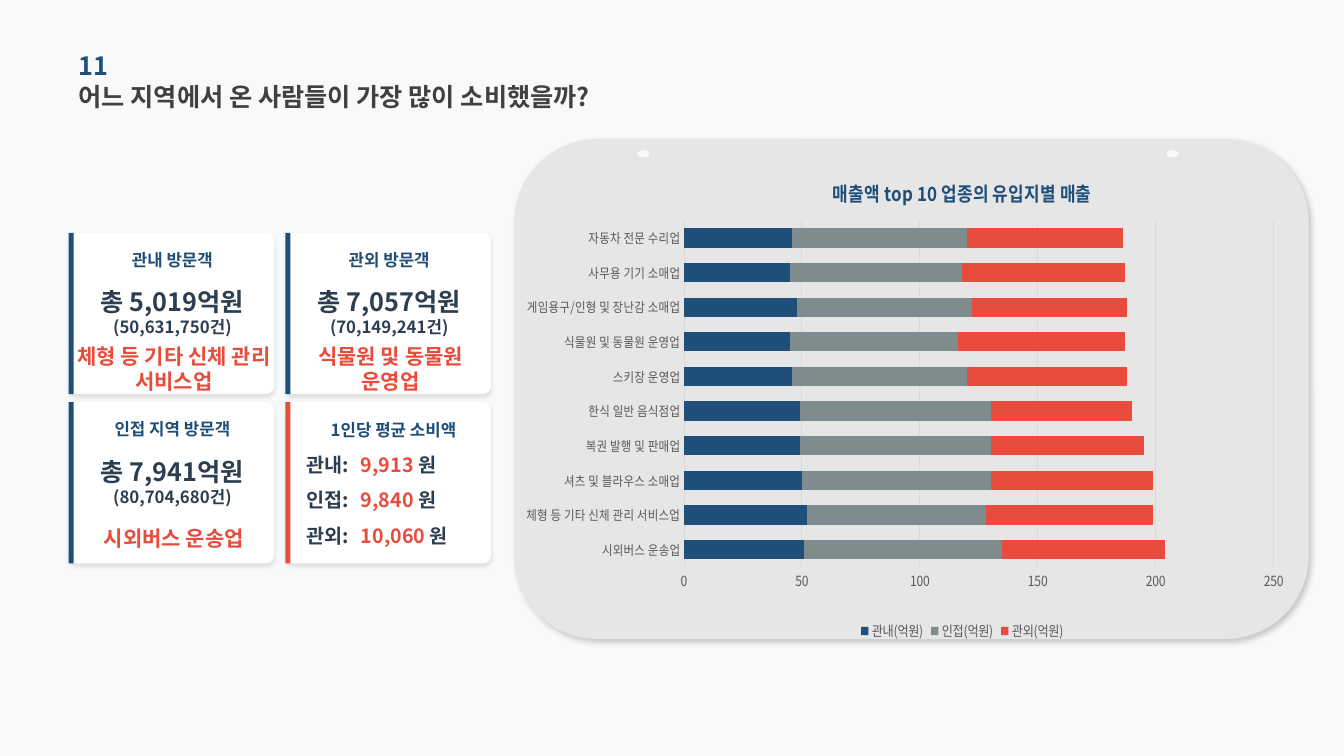
from lxml import etree
from pptx import Presentation
from pptx.chart.data import CategoryChartData
from pptx.dml.color import RGBColor
from pptx.enum import chart as charts, shapes, text
from pptx.oxml import ns
from pptx.util import Inches, Pt

FONT = "Noto Sans CJK KR"
COLORS = {
    "background": "F8F9FA", "panel": "E7E6E6", "white": "FFFFFF",
    "navy": "1F4E79", "red": "E74C3C", "gray": "7F8C8D", "ink": "2C3E50",
    "heading": "404040", "axis": "595959", "grid": "D9D9D9",
}
CARD_WIDTH, CARD_HEIGHT = 2.04, 1.6
COLUMNS, ROWS = (0.68, 2.83), (2.31, 3.99)
VISITORS = [
    (0, 0, "관내 방문객", "총 5,019억원", "(50,631,750건)", "체형 등 기타 신체 관리 서비스업"),
    (1, 0, "관외 방문객", "총 7,057억원", "(70,149,241건)", "식물원 및 동물원 운영업"),
    (0, 1, "인접 지역 방문객", "총 7,941억원", "(80,704,680건)", "시외버스 운송업"),
]
SPENDING = [("관내:", "9,913 "), ("인접:", "9,840 "), ("관외:", "10,060 ")]
CATEGORIES = [
    "시외버스 운송업", "체형 등 기타 신체 관리 서비스업", "셔츠 및 블라우스 소매업",
    "복권 발행 및 판매업", "한식 일반 음식점업", "스키장 운영업",
    "식물원 및 동물원 운영업", "게임용구/인형 및 장난감 소매업",
    "사무용 기기 소매업", "자동차 전문 수리업",
]
SERIES = [
    ("관내(억원)", "navy", (51, 52, 50, 49, 49, 46, 45, 48, 45, 46)),
    ("인접(억원)", "gray", (84, 76, 80, 81, 81, 74, 71, 74, 73, 74)),
    ("관외(억원)", "red", (69, 71, 69, 65, 60, 68, 71, 66, 69, 66)),
]


def rgb(name):
    return RGBColor.from_string(COLORS[name])


def format_font(font, size, color, bold=False):
    font.size, font.bold, font.name = Pt(size), bold, FONT
    font.color.rgb = rgb(color)
    # The East Asian typeface follows the Latin one
    properties = font._element
    properties.set("kern", "0")
    latin = properties.find(ns.qn("a:latin"))
    latin.addnext(etree.Element(ns.qn("a:ea"), typeface=FONT))


def write_text(shape, parts, size=12, color="ink", align="LEFT"):
    """Fill a shape with runs of (text, overrides); "\n" breaks the line."""
    frame = shape.text_frame
    frame.word_wrap, frame.auto_size = True, text.MSO_AUTO_SIZE.NONE
    frame.vertical_anchor = text.MSO_ANCHOR.MIDDLE
    frame.margin_left = frame.margin_right = frame.margin_top = frame.margin_bottom = 0
    paragraph = frame.paragraphs[0]
    paragraph.alignment = getattr(text.PP_ALIGN, align)
    for content, overrides in parts:
        if content == "\n":
            paragraph.add_line_break()
            continue
        run = paragraph.add_run()
        run.text = content
        format_font(run.font, **{"size": size, "color": color, "bold": True, **overrides})


def add_text(slide, box, *parts, **style):
    shape = slide.shapes.add_textbox(*map(Inches, box))
    write_text(shape, [(part, {}) if isinstance(part, str) else part for part in parts], **style)


def add_shape(slide, kind, box, color, corner=None, shadow=None):
    """Add a borderless shape; shadow is (opacity %, blur, distance, angle)."""
    shape = slide.shapes.add_shape(getattr(shapes.MSO_SHAPE, kind), *map(Inches, box))
    shape.fill.solid()
    shape.fill.fore_color.rgb = rgb(color)
    shape.line.fill.background()
    shape.shadow.inherit = False
    if corner is not None:
        shape.adjustments[0] = corner
    if shadow:
        opacity, blur, distance, angle = shadow
        effects = shape._element.spPr.find(ns.qn("a:effectLst"))
        outer = etree.SubElement(effects, ns.qn("a:outerShdw"), blurRad=str(Pt(blur)),
                                 dist=str(Pt(distance)), dir=str(angle * 60000),
                                 algn="tl", rotWithShape="0")
        tint = etree.SubElement(outer, ns.qn("a:srgbClr"), val="000000")
        etree.SubElement(tint, ns.qn("a:alpha"), val=str(opacity * 1000))


def add_card(slide, left, top, accent):
    add_shape(slide, "ROUNDED_RECTANGLE", (left, top, CARD_WIDTH, CARD_HEIGHT), "white",
              corner=0.05, shadow=(10, 3, 2, 90))
    add_shape(slide, "RECTANGLE", (left, top, 0.05, CARD_HEIGHT), accent)


def add_visitor_card(slide, column, row, heading, total, count, business):
    left, top = COLUMNS[column], ROWS[row]
    add_card(slide, left, top, "navy")
    inner = left + 0.04
    add_text(slide, (inner, top + 0.11, 1.98, 0.31), heading, color="navy", align="CENTER")
    add_text(slide, (inner, top + 0.55, 1.98, 0.47), (total, {"size": 18}), "\n", count,
             align="CENTER")
    add_text(slide, (left + 0.05, top + 1.11, 1.99, 0.47), business,
             size=15, color="red", align="CENTER")


def add_spending_card(slide):
    left, top = COLUMNS[1], ROWS[1]
    add_card(slide, left, top, "red")
    add_text(slide, (left + 0.45, top + 0.15, 1.4, 0.25), "1인당 평균 소비액", color="navy")
    for index, (label, amount) in enumerate(SPENDING):
        line_top = top + 0.47 + index * 0.35
        add_text(slide, (left + 0.21, line_top, 0.59, 0.3), label, size=14)
        add_text(slide, (left + 0.75, line_top, 1.25, 0.3),
                 (amount, {"color": "red"}), "원", size=14)


def place_plot(plot_area, **position):
    """Give the plot area a manual layout in fractions of the chart."""
    for old in plot_area.findall(ns.qn("c:layout")):
        plot_area.remove(old)
    layout = etree.Element(ns.qn("c:layout"))
    plot_area.insert(0, layout)
    manual = etree.SubElement(layout, ns.qn("c:manualLayout"))
    settings = {"layoutTarget": "inner", "xMode": "edge", "yMode": "edge", **position}
    for name, value in settings.items():
        etree.SubElement(manual, ns.qn("c:" + name), val=str(value))


def format_axis(axis, size):
    axis.major_tick_mark = axis.minor_tick_mark = charts.XL_TICK_MARK.NONE
    format_font(axis.tick_labels.font, size, "axis")


def add_sales_chart(slide):
    data = CategoryChartData(number_format="General")
    data.categories = CATEGORIES
    for name, _, values in SERIES:
        data.add_series(name, values)
    box = map(Inches, (5.22, 1.56, 7.61, 4.84))
    chart = slide.shapes.add_chart(charts.XL_CHART_TYPE.BAR_STACKED, *box, data).chart
    format_font(chart.font, 10, "axis")

    chart.has_title = True
    chart.chart_title.include_in_layout = False
    run = chart.chart_title.text_frame.paragraphs[0].add_run()
    run.text = "매출액 top 10 업종의 유입지별 매출"
    format_font(run.font, 14, "navy", bold=True)

    plot = chart.plots[0]
    plot.gap_width, plot.overlap, plot.vary_by_categories = 80, 100, False
    for series, (_, color, _) in zip(plot.series, SERIES):
        series.format.fill.solid()
        series.format.fill.fore_color.rgb = rgb(color)
    place_plot(chart._chartSpace.chart.plotArea, x=0.08, y=0.13, w=0.89, h=0.71)

    category_axis, value_axis = chart.category_axis, chart.value_axis
    format_axis(category_axis, 9.5)
    format_axis(value_axis, 10)
    value_axis.minimum_scale, value_axis.maximum_scale, value_axis.major_unit = 0, 250, 50
    value_axis.format.line.fill.background()
    for line in (category_axis.format.line, value_axis.major_gridlines.format.line):
        line.color.rgb, line.width = rgb("grid"), Pt(0.75)

    chart.has_legend = True
    legend = chart.legend
    legend.position = charts.XL_LEGEND_POSITION.BOTTOM
    legend.include_in_layout = False
    format_font(legend.font, 10, "axis")


def main():
    presentation = Presentation()
    presentation.slide_width, presentation.slide_height = Inches(13.33), Inches(7.5)
    slide = presentation.slides.add_slide(presentation.slide_layouts[5])
    slide.background.fill.solid()
    slide.background.fill.fore_color.rgb = rgb("background")

    title = slide.shapes.title
    title.left, title.top, title.width, title.height = map(Inches, (0.78, 0.75, 5.35, 0.41))
    write_text(title, [("어느 지역에서 온 사람들이 가장 많이 소비했을까?", {})],
               size=18, color="heading")
    add_text(slide, (0.78, 0.44, 4.52, 0.41), "11", size=18, color="navy")

    add_shape(slide, "ROUNDED_RECTANGLE", (5.1, 1.38, 7.88, 4.96), "panel",
              shadow=(20, 4, 3, 45))
    for pin_left in (6.32, 11.57):
        add_shape(slide, "OVAL", (pin_left, 1.49, 0.12, 0.07), "background")
    for visitor in VISITORS:
        add_visitor_card(slide, *visitor)
    add_spending_card(slide)
    add_sales_chart(slide)
    presentation.save("out.pptx")


if __name__ == "__main__":
    main()
